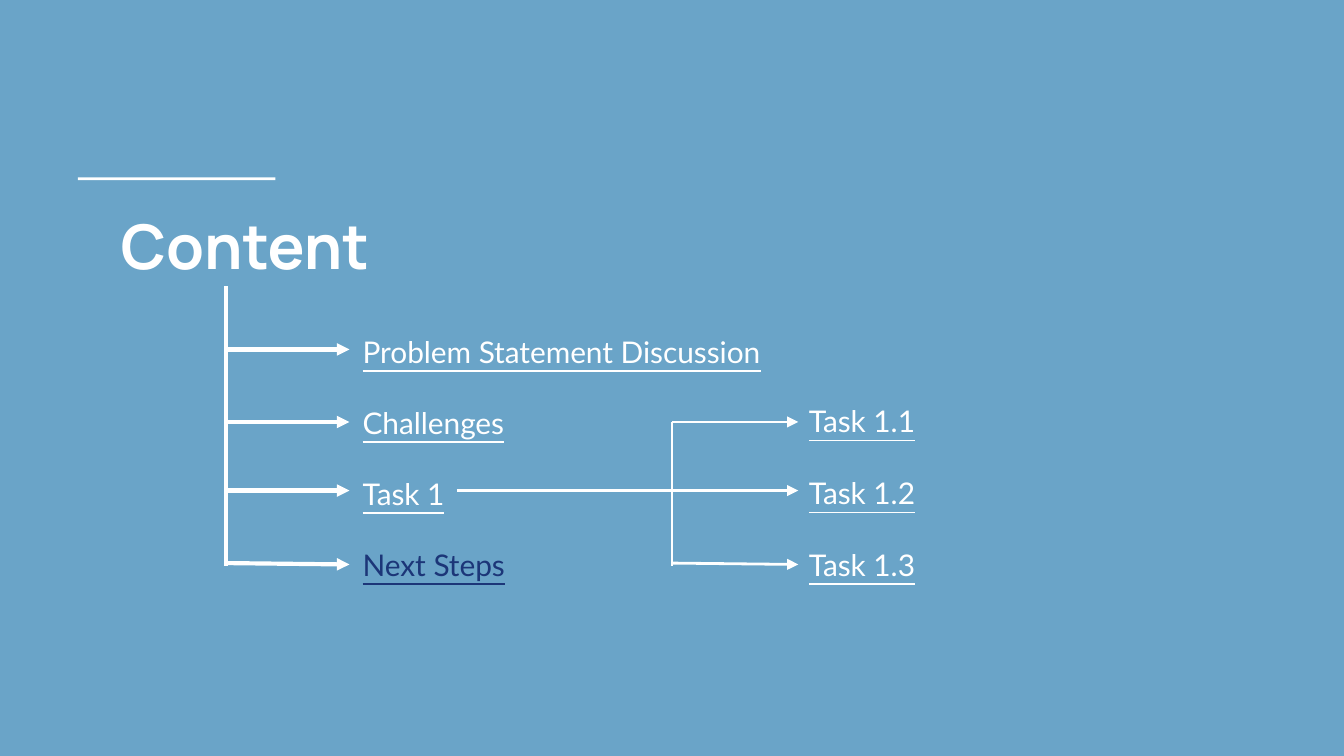
import pptx
import pptx.util
import pptx.dml.color
import pptx.enum.shapes
import pptx.enum.text
import pptx.oxml.ns
from lxml import etree

Inches, Pt = pptx.util.Inches, pptx.util.Pt
BACKGROUND, WHITE, NAVY = "6AA4C8", "FFFFFF", "1C3678"

TITLE = [("Content", WHITE)]
TOPICS = [
    ("Problem Statement Discussion", WHITE),
    ("Challenges", WHITE),
    ("Task 1", WHITE),
    ("Next Steps", NAVY),
]
SUBTASKS = [(f"Task 1.{number}", WHITE) for number in (1, 2, 3)]

TRUNK_X, TRUNK_TOP, TRUNK_BOTTOM = 1.68, 2.13, 4.21
TOPIC_ROWS = [(2.6, 2.6), (3.14, 3.14), (3.65, 3.65), (4.19, 4.2)]
TOPIC_ARROW_START, TOPIC_ARROW_END = 1.69, 2.6
FORK_X, SUBTASK_ARROW_END = 5, 5.94
TASK_LINE_START = 3.4


def rgb(color):
    return pptx.dml.color.RGBColor.from_string(color)


def add_line(slide, start, end, width, arrow=False):
    line = slide.shapes.add_connector(
        pptx.enum.shapes.MSO_CONNECTOR.STRAIGHT,
        *(Inches(value) for value in (*start, *end)))
    line.line.color.rgb = rgb(WHITE)
    line.line.width = Pt(width)
    properties = line._element.spPr
    if arrow:
        etree.SubElement(properties.find(pptx.oxml.ns.qn("a:ln")),
                         pptx.oxml.ns.qn("a:tailEnd"), type="triangle")
    etree.SubElement(properties, pptx.oxml.ns.qn("a:effectLst"))


def add_text(slide, box, entries, font, size, inset_y=0.1, spacing=1.0,
             gap=0, bold=False, underline=False):
    frame = slide.shapes.add_textbox(*(Inches(value) for value in box)).text_frame
    frame.word_wrap = True
    frame.vertical_anchor = pptx.enum.text.MSO_ANCHOR.TOP
    frame.margin_left = frame.margin_right = Inches(0.1)
    frame.margin_top = frame.margin_bottom = Inches(inset_y)
    for index, (text, color) in enumerate(entries):
        paragraph = frame.add_paragraph() if index else frame.paragraphs[0]
        paragraph.line_spacing = spacing
        if index:
            paragraph.space_before = Pt(gap)
        run = paragraph.add_run()
        run.text = text
        run.font.name = font
        run.font.size = Pt(size)
        run.font.bold = bold
        run.font.underline = underline
        run.font.color.rgb = rgb(color)


def main():
    deck = pptx.Presentation()
    deck.slide_width = Inches(10)
    deck.slide_height = deck.slide_width * 9 // 16
    slide = deck.slides.add_slide(deck.slide_layouts[6])
    slide.background.fill.solid()
    slide.background.fill.fore_color.rgb = rgb(BACKGROUND)

    title_rule = slide.shapes.add_shape(
        pptx.enum.shapes.MSO_SHAPE.RECTANGLE,
        Inches(0.58), Inches(1.32), Inches(1.47), Inches(0.02))
    title_rule.shadow.inherit = False
    title_rule.fill.solid()
    title_rule.fill.fore_color.rgb = rgb(WHITE)
    title_rule.line.fill.background()

    add_text(slide, (0.8, 1.45, 3.13, 1.66), TITLE, "Manrope", 33, bold=True)
    add_text(slide, (2.6, 2.34, 4.46, 2.65), TOPICS, "Lato", 16,
             spacing=1.15, gap=16, underline=True)

    add_line(slide, (TRUNK_X, TRUNK_TOP), (TRUNK_X, TRUNK_BOTTOM), 2.25)
    for start_y, end_y in TOPIC_ROWS:
        add_line(slide, (TOPIC_ARROW_START, start_y), (TOPIC_ARROW_END, end_y),
                 2.25, arrow=True)

    subtask_rows = TOPIC_ROWS[1:]
    task_y = TOPIC_ROWS[2][0]
    add_line(slide, (TASK_LINE_START, task_y), (FORK_X, task_y), 1.5)
    add_line(slide, (FORK_X, subtask_rows[0][0]), (FORK_X, TRUNK_BOTTOM), 1.5)
    for start_y, end_y in subtask_rows:
        add_line(slide, (FORK_X, start_y), (SUBTASK_ARROW_END, end_y), 1.5, arrow=True)

    add_text(slide, (5.92, 2.95, 3.21, 1.45), SUBTASKS, "Lato", 16,
             inset_y=0.05, gap=19.2, underline=True)

    deck.save("out.pptx")


if __name__ == "__main__":
    main()
